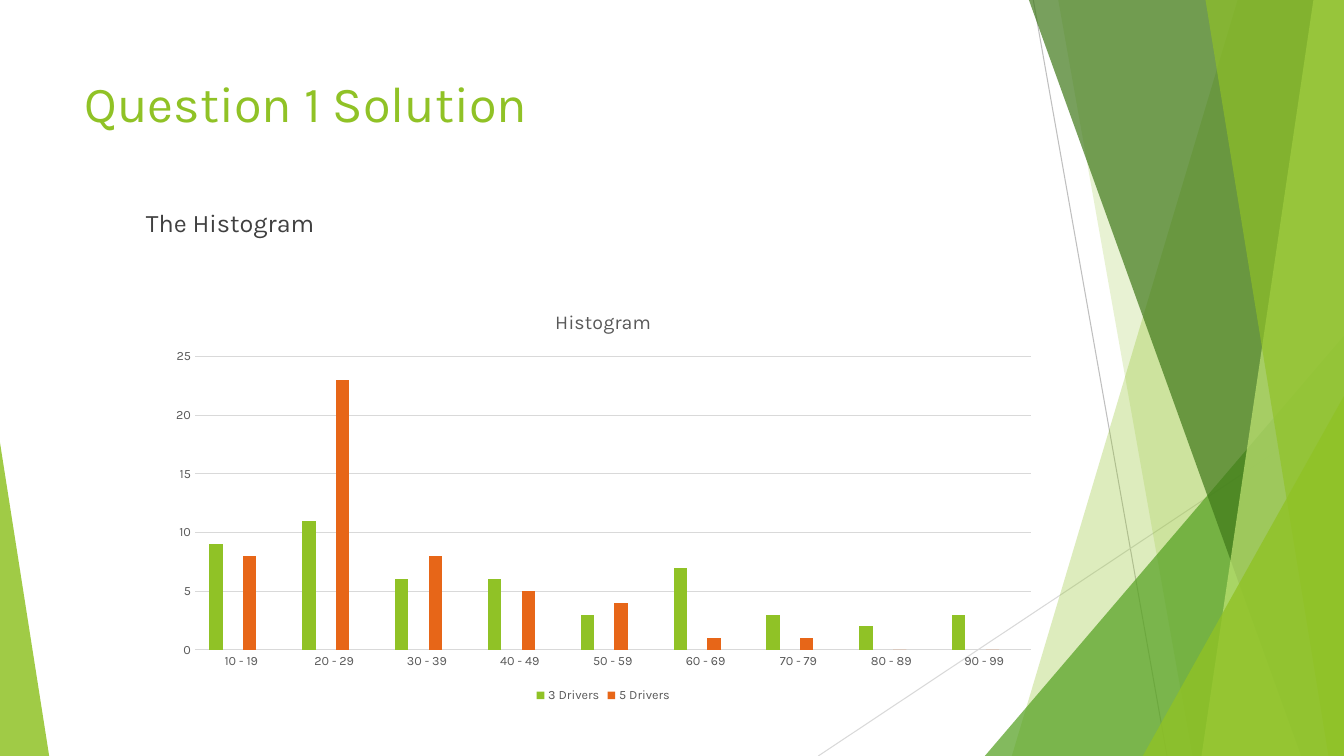
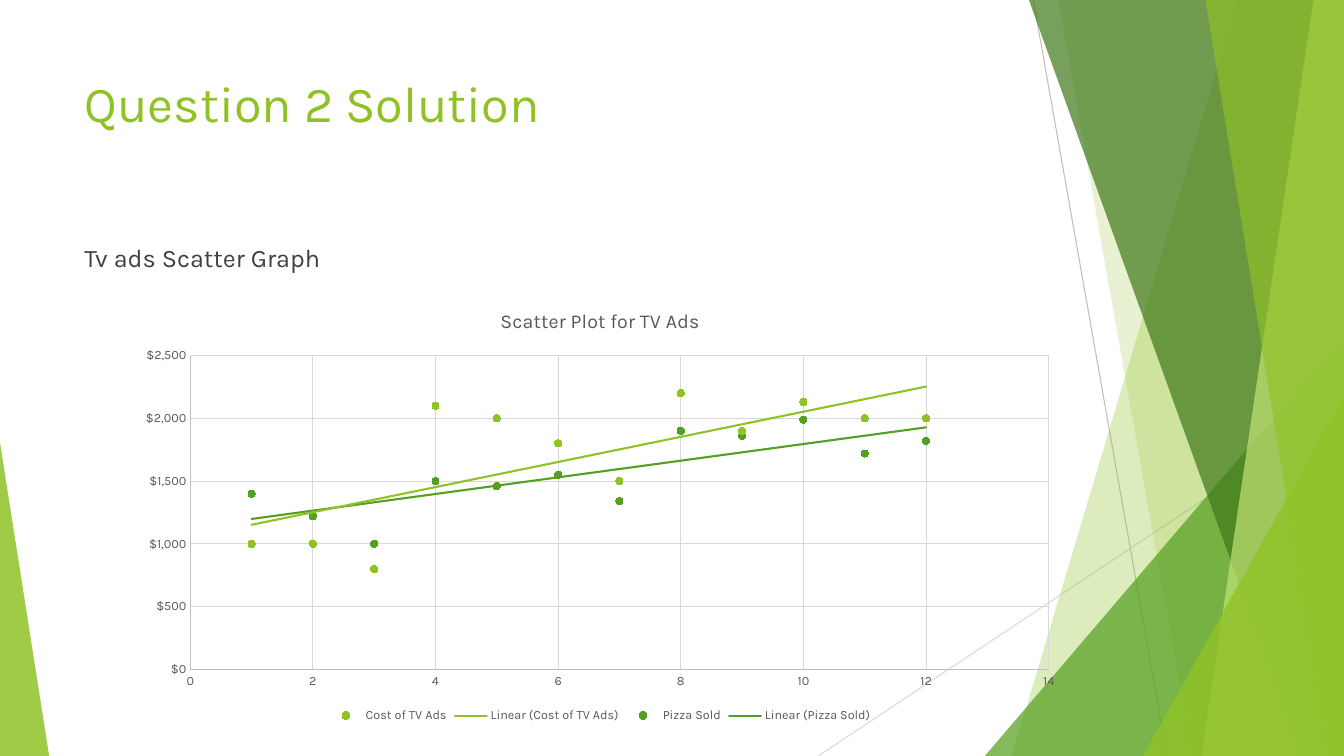
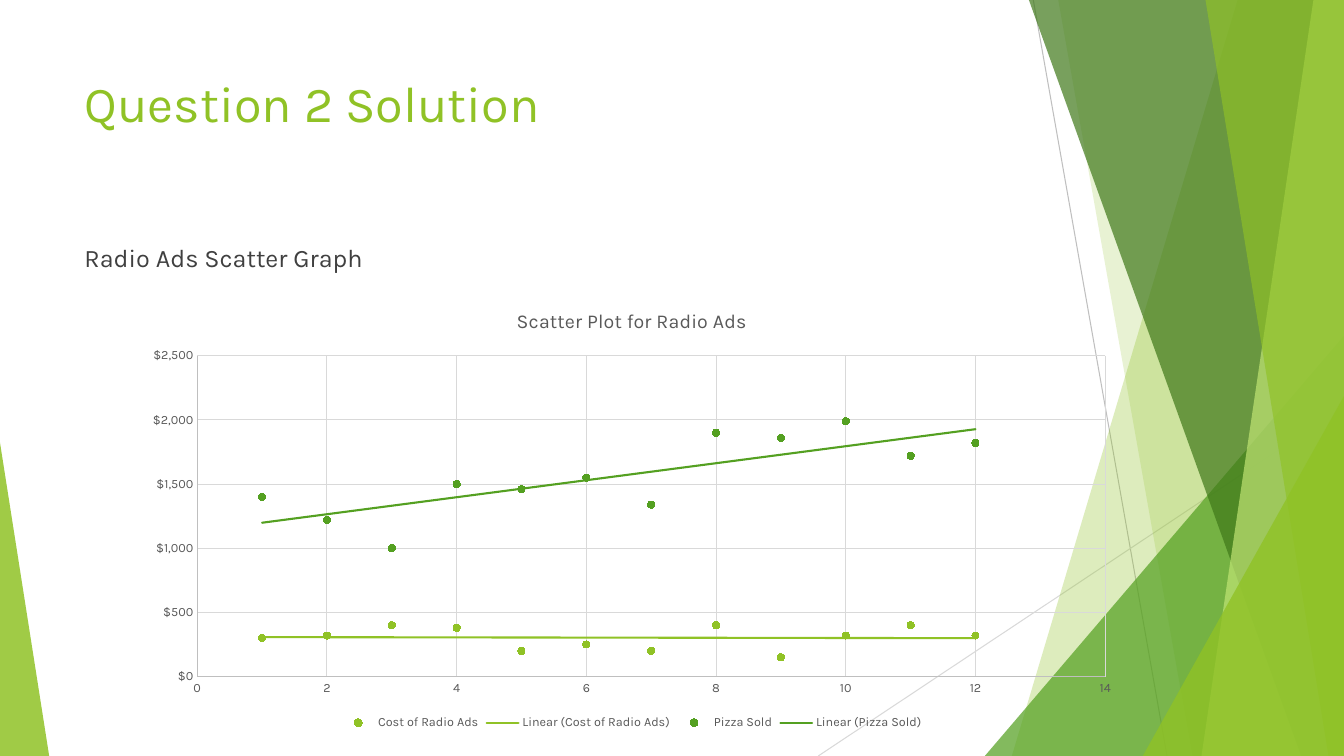
from dataclasses import dataclass

from lxml.etree import SubElement
from pptx import Presentation
from pptx.chart.data import CategoryChartData, XyChartData
from pptx.dml.color import RGBColor
from pptx.enum.chart import XL_CHART_TYPE as ChartType
from pptx.enum.chart import XL_LEGEND_POSITION as LegendPosition
from pptx.enum.chart import XL_MARKER_STYLE as MarkerStyle
from pptx.enum.chart import XL_TICK_MARK as TickMark
from pptx.enum.shapes import MSO_CONNECTOR as Connector
from pptx.enum.shapes import MSO_SHAPE as Preset
from pptx.enum.text import MSO_ANCHOR as Anchor
from pptx.enum.text import MSO_AUTO_SIZE as AutoSize
from pptx.enum.text import PP_ALIGN as Align
from pptx.oxml import parse_xml
from pptx.oxml.ns import nsdecls, qn
from pptx.util import Cm, Pt


@dataclass(frozen=True)
class Theme:
    """Colours, type sizes and line widths of the deck."""
    font: str = "Karla"
    lime: str = "90C226"
    green: str = "54A021"
    forest: str = "3F7819"
    pale: str = "C0E474"
    orange: str = "E76618"
    body: str = "404040"
    label: str = "595959"
    axis: str = "BFBFBF"
    grid: str = "D9D9D9"
    title_size: int = 36
    body_size: int = 18
    chart_title_size: int = 14
    label_size: int = 9
    hairline: float = 0.75
    trend_line: float = 1.5


theme = Theme()
WIDTH, HEIGHT = 33.87, 19.05


def write(frame, text, *, size, color, align=None, before=None):
    """Put one formatted paragraph into a text frame."""
    frame.text = text
    paragraph = frame.paragraphs[0]
    paragraph.alignment = align
    if before is not None:
        paragraph.space_before = Pt(before)
    font = paragraph.runs[0].font
    font.name, font.size, font.bold = theme.font, Pt(size), False
    font.color.rgb = RGBColor.from_string(color)


def set_line(line, color, width=theme.hairline):
    """Give a line its colour and width."""
    line.color.rgb = RGBColor.from_string(color)
    line.width = Pt(width)


presentation = Presentation()
presentation.slide_width, presentation.slide_height = Cm(WIDTH), Cm(HEIGHT)
layout = presentation.slide_layouts[5]
first_slide = presentation.slides.add_slide(layout)

# Decoration: drawn once, then moved to the shared layout
decoration = []
for start_x, start_y, end_x, color in [
    (26.04, 0, 29.41, theme.axis),
    (WIDTH, 10.24, 20.62, theme.grid),
]:
    connector = first_slide.shapes.add_connector(
        Connector.STRAIGHT, Cm(start_x), Cm(start_y), Cm(end_x), Cm(HEIGHT))
    set_line(connector.line, color)
    SubElement(connector._element.spPr, qn("a:effectLst"))
    decoration.append(connector)

# Bands: x at the top and at the bottom. Triangles: left, top, width, apex.
for geometry, color, opacity in [
    ((31.19, 25.5), theme.lime, 30),
    ((26.67, 30.05), theme.lime, 20),
    ((24.82, 8.46, 9.05, 1), theme.green, 72),
    ((25.93, 32.79), theme.forest, 70),
    ((33.1, 30.28), theme.pale, 70),
    ((30.38, 33.48), theme.lime, 65),
    ((28.8, 9.98, 5.07, 1), theme.lime, 80),
    ((0, 11.15, 1.24, 0), theme.lime, 85),
]:
    if len(geometry) == 2:
        top_x, bottom_x = geometry
        outline = first_slide.shapes.build_freeform(Cm(top_x), 0)
        outline.add_line_segments([
            (Cm(WIDTH), 0), (Cm(WIDTH), Cm(HEIGHT)), (Cm(bottom_x), Cm(HEIGHT))])
        shape = outline.convert_to_shape()
    else:
        left, top, width, apex = geometry
        shape = first_slide.shapes.add_shape(
            Preset.ISOSCELES_TRIANGLE, Cm(left), Cm(top), Cm(width), Cm(HEIGHT - top))
        shape.adjustments[0] = apex
    shape.shadow.inherit = False
    shape.line.fill.background()
    shape.fill.solid()
    shape.fill.fore_color.rgb = RGBColor.from_string(color)
    fill_color = next(shape._element.spPr.iter(qn("a:srgbClr")))
    SubElement(fill_color, qn("a:alpha"), val=str(opacity * 1000))
    decoration.append(shape)

for number, shape in enumerate(decoration, start=100):
    next(shape._element.iter(qn("p:cNvPr"))).set("id", str(number))
    layout.shapes.element.append(shape._element)

# Chart data
histogram = CategoryChartData()
histogram.categories = [f"{low} - {low + 9}" for low in range(10, 100, 10)]
for name, values in [
    ("3 Drivers", [9, 11, 6, 6, 3, 7, 3, 2, 3]),
    ("Series 2", [None] * 9),
    ("5 Drivers", [8, 23, 8, 5, 4, 1, 1, 0, 0]),
    ("Series 4", [None] * 9),
]:
    histogram.add_series(name, values)

pizza_sold = [1400, 1220, 1000, 1500, 1460, 1550, 1340, 1900, 1860, 1990, 1720, 1820]
tv_cost = [1000, 1000, 800, 2100, 2000, 1800, 1500, 2200, 1900, 2130, 2000, 2000]
radio_cost = [300, 320, 400, 380, 200, 250, 200, 400, 150, 320, 400, 320]
scatters = []
for cost_name, cost in [("Cost of TV Ads", tv_cost), ("Cost of Radio Ads", radio_cost)]:
    scatter = XyChartData()
    for name, values in [(cost_name, cost), ("Pizza Sold", pizza_sold)]:
        points = scatter.add_series(name)
        for month, value in enumerate(values, start=1):
            points.add_data_point(month, value)
    scatters.append(scatter)
tv_scatter, radio_scatter = scatters

# Slides: title, subtitle and its box, chart title, data and chart box
text_box = (1.88, 5.99, 23.88, 10.77)
for title, subtitle, subtitle_box, chart_title, data, chart_box in [
    ("Question 1 Solution", "The Histogram", (3.43, 5.11, 29.21, 12.93),
     "Histogram", histogram, (3.99, 7.37, 22.43, 10.44)),
    ("Question 2 Solution", "Tv ads Scatter Graph", text_box,
     "Scatter Plot for TV Ads", tv_scatter, (3.2, 7.32, 23.85, 11)),
    ("Question 2 Solution", "Radio Ads Scatter Graph", text_box,
     "Scatter Plot for Radio Ads", radio_scatter, (3.35, 7.32, 25.15, 11.18)),
]:
    is_histogram = data is histogram
    slide = first_slide if is_histogram else presentation.slides.add_slide(layout)

    heading = slide.shapes.title
    heading.left, heading.top = Cm(1.88), Cm(1.7)
    heading.width, heading.height = Cm(23.88), Cm(3.66)
    write(heading.text_frame, title, size=theme.title_size, color=theme.lime,
          align=Align.LEFT)

    caption = slide.shapes.add_textbox(*map(Cm, subtitle_box))
    write(caption.text_frame, subtitle, size=theme.body_size, color=theme.body,
          before=10)
    for frame in (heading.text_frame, caption.text_frame):
        frame.word_wrap = True
        frame.auto_size = AutoSize.NONE
        frame.vertical_anchor = Anchor.TOP

    kind = ChartType.COLUMN_CLUSTERED if is_histogram else ChartType.XY_SCATTER
    chart = slide.shapes.add_chart(kind, *map(Cm, chart_box), data).chart
    chart.font.name, chart.font.size = theme.font, Pt(theme.label_size)
    chart.font.color.rgb = RGBColor.from_string(theme.label)
    chart.has_title = True
    write(chart.chart_title.text_frame, chart_title, size=theme.chart_title_size,
          color=theme.label)
    chart.has_legend = True
    chart.legend.position = LegendPosition.BOTTOM
    chart.legend.include_in_layout = False

    value_axis, base_axis = chart.value_axis, chart.category_axis
    for axis in (value_axis, base_axis):
        axis.major_tick_mark = axis.minor_tick_mark = TickMark.NONE
        axis.has_major_gridlines = axis is value_axis or not is_histogram
        if axis.has_major_gridlines:
            set_line(axis.major_gridlines.format.line, theme.grid)
        set_line(axis.format.line, theme.grid if is_histogram else theme.axis)
    value_axis.minimum_scale = 0
    value_axis.maximum_scale = 25 if is_histogram else 2500
    value_axis.major_unit = value_axis.maximum_scale / 5

    plot = chart.plots[0]
    plot.vary_by_categories = False
    if is_histogram:
        value_axis.format.line.fill.background()
        plot.gap_width, plot.overlap = 219, -27
        bar_colors = (theme.lime, theme.green, theme.orange, theme.orange)
        for series, color in zip(plot.series, bar_colors):
            series.invert_if_negative = False
            series.format.fill.solid()
            series.format.fill.fore_color.rgb = RGBColor.from_string(color)
        legend_position = chart.legend._element.find(qn("c:legendPos"))
        for index in (3, 1):
            legend_position.addnext(parse_xml(
                f'<c:legendEntry {nsdecls("c")}><c:idx val="{index}"/>'
                '<c:delete val="1"/></c:legendEntry>'))
    else:
        value_axis.tick_labels.number_format = '"$"#,##0'
        value_axis.tick_labels.number_format_is_linked = False
        base_axis.minimum_scale, base_axis.maximum_scale = 0, 14
        base_axis.major_unit = 2
        for series, color in zip(plot.series, (theme.lime, theme.green)):
            series.smooth = False
            series.format.line.fill.background()
            marker = series.marker
            marker.style, marker.size = MarkerStyle.CIRCLE, 5
            marker.format.fill.solid()
            marker.format.fill.fore_color.rgb = RGBColor.from_string(color)
            set_line(marker.format.line, color)
            series._element.find(qn("c:xVal")).addprevious(parse_xml(
                f'<c:trendline {nsdecls("c", "a")}><c:spPr>'
                f'<a:ln w="{Pt(theme.trend_line)}" cap="rnd"><a:solidFill>'
                f'<a:srgbClr val="{color}"/></a:solidFill></a:ln></c:spPr>'
                '<c:trendlineType val="linear"/><c:dispRSqr val="0"/>'
                '<c:dispEq val="0"/></c:trendline>'))

presentation.save("out.pptx")
